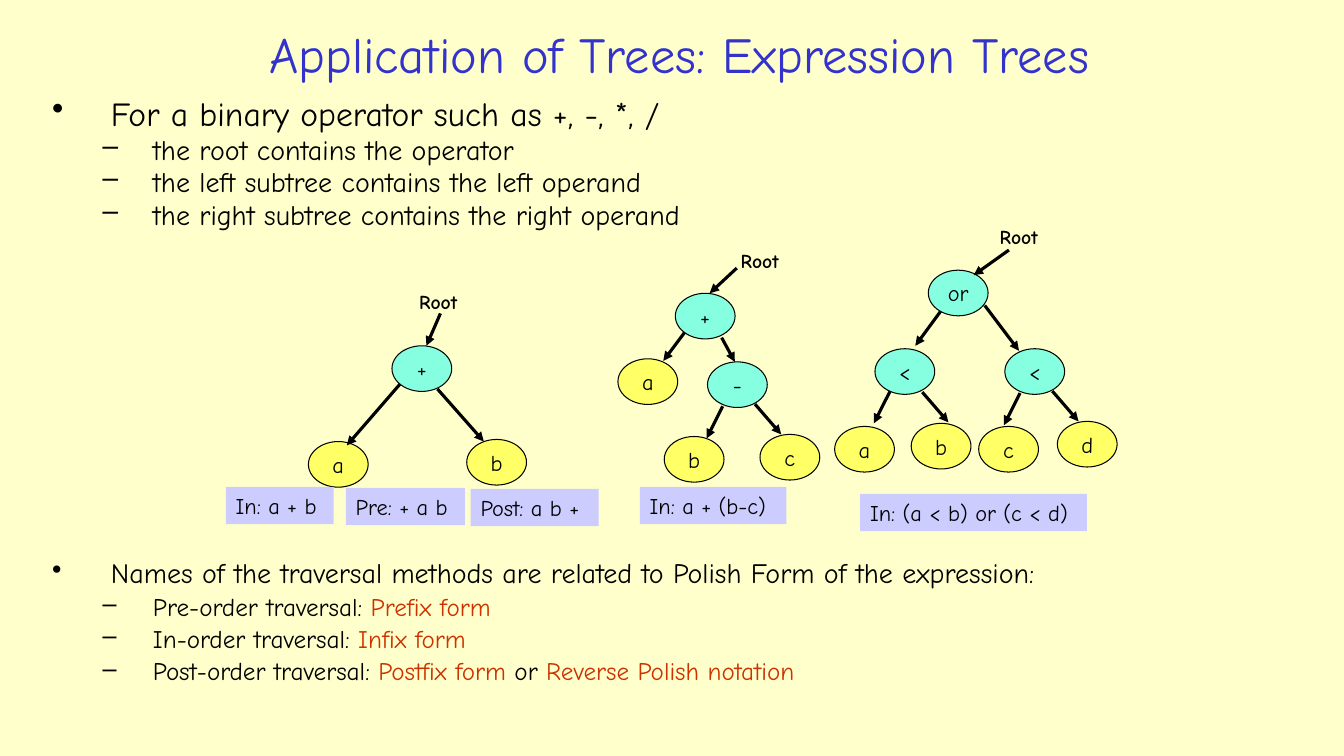
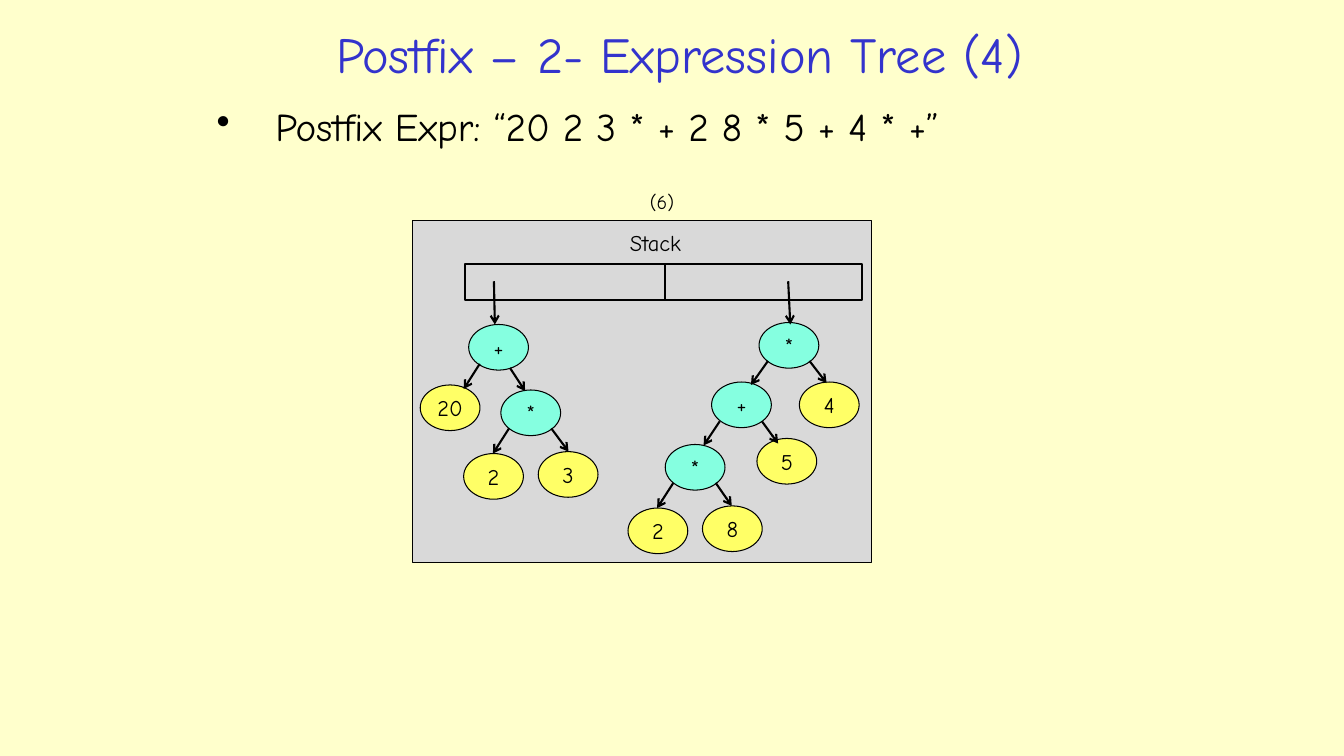
import pptx
import pptx.util
import pptx.dml.color
import pptx.enum.shapes
import pptx.enum.text
import pptx.oxml
import pptx.oxml.ns
from lxml import etree

Pt = pptx.util.Pt
SHAPES = pptx.enum.shapes.MSO_SHAPE
ALIGN = pptx.enum.text.PP_ALIGN
ANCHOR = pptx.enum.text.MSO_ANCHOR

FONT = "Comic Neue"
COLOURS = {
    "background": "FFFFCC",
    "title": "3333CC",
    "text": "000000",
    "accent": "CC3300",
    "operator": "85FFE0",
    "operand": "FFFF66",
    "label": "CCCCFF",
    "panel": "D9D9D9",
}
OPERATORS = {"+", "-", "*", "<", "or"}
NODE_SIZE = (42.7, 32.6)
TITLE_BOX = (141.8, 10.8, 686.9, 54.7)
LEVELS = [("•", 42, -42), ("–", 72, -36)]

TREES_TITLE = "Application of Trees: Expression Trees"
OPERATOR_POINTS = [
    (0, 24, ["For a binary operator such as +, -, *, /"]),
    (1, 20, ["the root contains the operator"]),
    (1, 20, ["the left subtree contains the left operand"]),
    (1, 20, ["the right subtree contains the right operand"]),
]
TRAVERSAL_POINTS = [
    (0, 20, ["Names of the traversal methods are related to Polish Form of the expression:"]),
    (1, 18, ["Pre-order traversal: ", ("Prefix form", "accent")]),
    (1, 18, ["In-order traversal: ", ("Infix form", "accent")]),
    (1, 18, ["Post-order traversal: ", ("Postfix form ", "accent"), "or",
             (" Reverse Polish notation", "accent")]),
]
EXAMPLE_NODES = [
    ("+", (280, 247), (314.6, 223.9), (304.6, 247)),
    ("a", (220.3, 315.4), (285.8, 274.3), (247.7, 318.2)),
    ("b", (333.4, 313.9), (312.5, 277.9), (345.6, 315.4)),
    ("+", (482.4, 209.5), (526.3, 191.5), (506.9, 209.5)),
    ("a", (441.4, 256.3), (488.9, 237.6), (473.8, 257.8)),
    ("-", (505.4, 258.5), (515.5, 241.2), (524.9, 258.5)),
    ("b", (474.5, 311.8), (516.2, 290.2), (504.7, 313.2)),
    ("c", (542.9, 310.3), (539.3, 288.7), (558, 310.3)),
    ("or", (663.1, 193), (720.7, 178.6), (695.5, 196.6)),
    ("<", (625, 249.1), (671.8, 222.5), (653.8, 247)),
    ("<", (717.8, 249.1), (703.4, 218.2), (727.9, 250.6)),
    ("a", (596.2, 304.6), (635.8, 279.4), (624.2, 302.4)),
    ("b", (650.9, 302.4), (658.8, 280.1), (677.5, 301.7)),
    ("c", (699.1, 304.6), (728.6, 280.8), (717.1, 303.8)),
    ("d", (755.3, 301), (751.7, 279.4), (770.4, 301)),
]
ROOT_LABELS = [(292.3, 203.8), (522, 174.2), (707, 157)]
NOTATIONS = [
    ("In: a + b", (161.3, 347.8, 77, 26.6), False),
    ("Pre: + a b", (247, 348.5, 85, 26.6), False),
    ("Post: a b +", (336.2, 349.2, 91.4, 26.6), False),
    ("In: a + (b-c)", (457, 347.8, 104.8, 26.6), True),
    ("In: (a < b) or (c < d)", (614.4, 352.8, 162, 26.6), True),
]

STACK_TITLE = "Postfix – 2- Expression Tree (4)"
STACK_POINTS = [(0, 28, ["Postfix Expr: “20 2 3 * + 2 8 * 5 + 4 * +”"])]
STACK_PANEL = (294.7, 157.6, 327.8, 244.2)
STACK_CELLS = (332.2, 188.6, 283.7, 25.8)
STACK_LABELS = [
    ("Stack", (442.8, 159.8, 58.3, 26.6), 16),
    ("(6)", (457.2, 131.8, 33.8, 24.5), 14),
]
STACK_NODES = [
    ("+", (334.8, 231.8), (352.8, 200.9), (353.5, 231.8)),
    ("20", (300.2, 275), (342.7, 259.9), (331.2, 277.9)),
    ("*", (357.8, 278.6), (364.3, 262.8), (375.1, 279.4)),
    ("2", (331.2, 324), (363.6, 306), (352.1, 324)),
    ("3", (384.5, 322.6), (393.8, 306), (406.1, 322.6)),
    ("*", (542.2, 230.4), (563, 200.9), (564.5, 231.8)),
    ("+", (508.3, 272.9), (548.6, 257.8), (536.4, 275)),
    ("4", (571, 272.9), (578.2, 257.8), (590.4, 273.6)),
    ("*", (475.2, 317.5), (514.1, 301), (502.6, 318.2)),
    ("5", (540.7, 313.2), (544.3, 301), (555.8, 316.8)),
    ("2", (448.6, 362.9), (481, 344.9), (469.4, 362.9)),
    ("8", (501.8, 361.4), (511.2, 344.9), (522.7, 361.4)),
]


def colour(name):
    return pptx.dml.color.RGBColor.from_string(COLOURS[name])


def format_runs(paragraph, runs, size, default="text", bold=False):
    for item in runs:
        text, shade = (item, default) if isinstance(item, str) else item
        run = paragraph.add_run()
        run.text = text
        run.font.name = FONT
        run.font.size = Pt(size)
        run.font.bold = bold
        run.font.color.rgb = colour(shade)


def write(shape, text, size=16, shade="text", bold=False, align=ALIGN.LEFT,
          anchor=ANCHOR.TOP, wrap=False):
    frame = shape.text_frame
    frame.word_wrap = wrap
    frame.vertical_anchor = anchor
    paragraph = frame.paragraphs[0]
    paragraph.alignment = align
    format_runs(paragraph, [text], size, shade, bold)


def add_text_box(slide, box):
    return slide.shapes.add_textbox(*map(Pt, box))


def add_figure(slide, kind, box, fill=None, line_width=None):
    shape = slide.shapes.add_shape(kind, *map(Pt, box))
    shape.shadow.inherit = False
    if fill:
        shape.fill.solid()
        shape.fill.fore_color.rgb = colour(fill)
    else:
        shape.fill.background()
    if line_width:
        shape.line.color.rgb = colour("text")
        shape.line.width = Pt(line_width)
    else:
        shape.line.fill.background()
    return shape


def add_line(slide, start, end, width, head=None):
    connector = slide.shapes.add_connector(
        pptx.enum.shapes.MSO_CONNECTOR.STRAIGHT, *map(Pt, start + end))
    connector.line.color.rgb = colour("text")
    connector.line.width = Pt(width)
    if head:
        etree.SubElement(connector.line._get_or_add_ln(),
                         pptx.oxml.ns.qn("a:tailEnd"), type=head)
    etree.SubElement(connector._element.spPr, pptx.oxml.ns.qn("a:effectLst"))


def add_bullets(slide, box, points, spacing):
    frame = add_text_box(slide, box).text_frame
    frame.word_wrap = True
    for index, (level, size, runs) in enumerate(points):
        paragraph = frame.add_paragraph() if index else frame.paragraphs[0]
        character, margin, indent = LEVELS[level]
        properties = paragraph._p.get_or_add_pPr()
        properties.set("marL", str(Pt(margin)))
        properties.set("indent", str(Pt(indent)))
        etree.SubElement(properties, pptx.oxml.ns.qn("a:buChar"), char=character)
        paragraph.level = level
        paragraph.line_spacing = spacing
        paragraph.space_before = Pt(size * 0.2 if index else 0)
        format_runs(paragraph, runs, size)


def add_trees(slide, nodes, arrow_width, head):
    for label, position, _, _ in nodes:
        fill = "operator" if label in OPERATORS else "operand"
        node = add_figure(slide, SHAPES.OVAL, position + NODE_SIZE, fill, 0.75)
        write(node, label, align=ALIGN.CENTER, anchor=ANCHOR.MIDDLE)
    for _, _, start, end in nodes:
        add_line(slide, start, end, arrow_width, head)


def add_titled_slide(presentation, title):
    slide = presentation.slides.add_slide(presentation.slide_layouts[6])
    write(add_text_box(slide, TITLE_BOX), title, size=36, shade="title",
          align=ALIGN.CENTER, anchor=ANCHOR.MIDDLE, wrap=True)
    return slide


def build_trees_slide(presentation):
    slide = add_titled_slide(presentation, TREES_TITLE)
    add_bullets(slide, (30.2, 68.4, 901.4, 109.4), OPERATOR_POINTS, 0.8)
    add_trees(slide, EXAMPLE_NODES, 2.25, "triangle")
    for position in ROOT_LABELS:
        write(add_text_box(slide, position + (45.4, 24.5)), "Root", size=14, bold=True)
    for text, box, wrap in NOTATIONS:
        write(add_figure(slide, SHAPES.RECTANGLE, box, "label"), text, wrap=wrap)
    add_bullets(slide, (30.2, 396, 901.4, 131), TRAVERSAL_POINTS, 0.9)


def build_stack_slide(presentation):
    slide = add_titled_slide(presentation, STACK_TITLE)
    add_bullets(slide, (147.6, 69.8, 663.1, 38.2), STACK_POINTS, 1.0)
    add_figure(slide, SHAPES.RECTANGLE, STACK_PANEL, "panel", 0.75)
    add_figure(slide, SHAPES.RECTANGLE, STACK_CELLS, line_width=1.5)
    left, top, width, height = STACK_CELLS
    middle = left + width / 2 + 1
    add_line(slide, (middle, top), (middle, top + height), 1.5)
    for text, box, size in STACK_LABELS:
        write(add_text_box(slide, box), text, size=size)
    add_trees(slide, STACK_NODES, 1.5, "arrow")


def main():
    presentation = pptx.Presentation()
    presentation.slide_width = Pt(960)
    presentation.slide_height = Pt(540)
    background = presentation.slide_master.background.fill
    background.solid()
    background.fore_color.rgb = colour("background")
    build_trees_slide(presentation)
    build_stack_slide(presentation)
    presentation.save("out.pptx")


if __name__ == "__main__":
    main()
